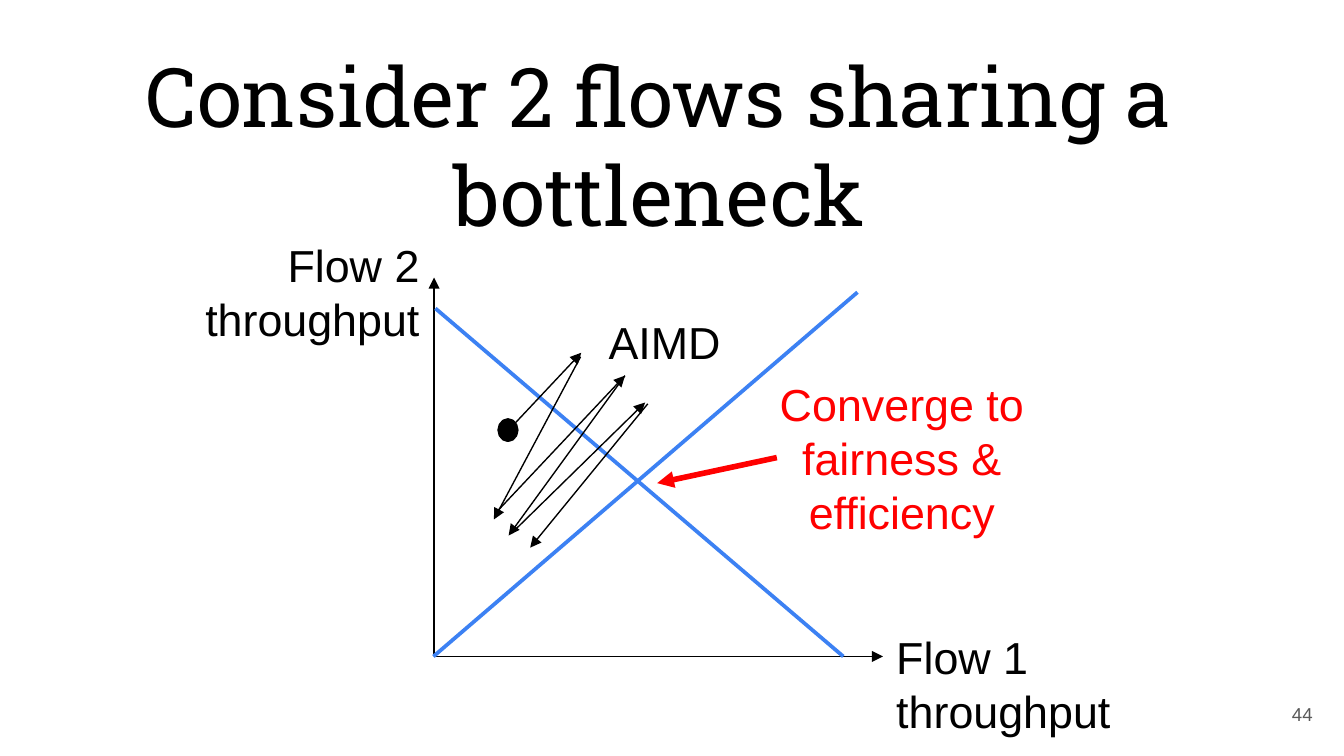
from pptx import Presentation
from pptx.dml.color import RGBColor
from pptx.enum.shapes import MSO_CONNECTOR, MSO_SHAPE
from pptx.enum.text import MSO_ANCHOR, PP_ALIGN
from pptx.oxml.ns import qn
from pptx.util import Pt
from lxml import etree

PX = 4572  # EMU per px, 200 px to the inch

BLACK = RGBColor(0x00, 0x00, 0x00)
BLUE = RGBColor(0x3C, 0x81, 0xF3)
RED = RGBColor(0xFF, 0x00, 0x00)
GRAY = RGBColor(0x59, 0x59, 0x59)

STRAIGHT = MSO_CONNECTOR.STRAIGHT
DOT = MSO_SHAPE.FLOWCHART_CONNECTOR
LEFT, CENTER, RIGHT = PP_ALIGN.LEFT, PP_ALIGN.CENTER, PP_ALIGN.RIGHT
TOP, MIDDLE = MSO_ANCHOR.TOP, MSO_ANCHOR.MIDDLE


def add_text(slide, box, text, size=24, font="Arial", color=BLACK, align=LEFT,
             anchor=TOP, inset=10, wrap=True):
    """Place text in a box; each line of the text is a paragraph."""
    frame = slide.shapes.add_textbox(*(value * PX for value in box)).text_frame
    frame.word_wrap = wrap
    frame.vertical_anchor = anchor
    frame.margin_left = frame.margin_right = 20 * PX
    frame.margin_top = frame.margin_bottom = inset * PX
    frame.text = text
    for paragraph in frame.paragraphs:
        paragraph.alignment = align
        paragraph.font.size = Pt(size)
        paragraph.font.name = font
        paragraph.font.color.rgb = color


def add_line(slide, box, start, end, color=BLACK, width=0.75, arrow=True):
    """Draw a line between two points measured from the box's corner."""
    left, top = box[:2]
    line = slide.shapes.add_connector(
        STRAIGHT, (left + start[0]) * PX, (top + start[1]) * PX,
        (left + end[0]) * PX, (top + end[1]) * PX)
    line.line.color.rgb = color
    line.line.width = Pt(width)
    if arrow:
        outline = line.line._get_or_add_ln()
        etree.SubElement(outline, qn("a:tailEnd"), type="triangle")
    etree.SubElement(line._element.spPr, qn("a:effectLst"))


def add_axes(slide, box):
    left, top, width, height = box
    add_line(slide, box, (0, height), (0, 0))
    add_line(slide, box, (2, height), (width, height))
    add_text(slide, (left + width, top + height - 50, 362, 182),
             "Flow 1\nthroughput", wrap=False)
    add_text(slide, (left - 364, top - 69, 362, 182),
             "Flow 2\nthroughput", align=RIGHT, wrap=False)


def add_guides(slide, box):
    """Draw the fairness and efficiency lines."""
    height = box[3]
    for start, end in (((-1, height), (630, 22)), ((2, 46), (609, height))):
        add_line(slide, box, start, end, color=BLUE, width=2, arrow=False)


def add_aimd_path(slide, box):
    """Draw the starting point and the zigzag that narrows in."""
    left, top = box[:2]
    dot = slide.shapes.add_shape(
        DOT, (left + 97) * PX, (top + 212) * PX, 26 * PX, 30 * PX)
    dot.shadow.inherit = False
    dot.fill.solid()
    dot.fill.fore_color.rgb = BLACK
    dot.line.color.rgb = BLACK
    dot.line.width = Pt(2)

    steps = (
        ((110, 228), (219, 112)), ((218, 118), (89, 360)),
        ((92, 350), (284, 146)), ((284, 146), (111, 384)),
        ((118, 378), (314, 186)), ((318, 188), (143, 402)),
    )
    for start, end in steps:
        add_line(slide, box, start, end)
    add_text(slide, (left + 238, top + 45, 208, 100), "AIMD",
             align=RIGHT, wrap=False)


def add_callout(slide, box):
    left, top = box[:2]
    add_text(slide, (left + 476, top + 138, 440, 262),
             "Converge to fairness & efficiency", color=RED, align=CENTER)
    add_line(slide, box, (510, 268), (332, 306), color=RED, width=3)


def main():
    presentation = Presentation()
    presentation.slide_width = 2000 * PX
    presentation.slide_height = 1125 * PX
    slide = presentation.slides.add_slide(presentation.slide_layouts[6])

    # Title
    add_text(slide, (0, 48, 1962, 284), "Consider 2 flows sharing a bottleneck",
             size=44, font="Roboto Slab", align=CENTER, inset=20)

    # Throughput graph
    graph = (646, 413, 668, 564)
    add_axes(slide, graph)
    add_guides(slide, graph)
    add_aimd_path(slide, graph)
    add_callout(slide, graph)

    # Slide number
    add_text(slide, (1853, 1020, 120, 86), "44", size=10, color=GRAY,
             align=RIGHT, anchor=MIDDLE, inset=20)

    presentation.save("out.pptx")


if __name__ == "__main__":
    main()
